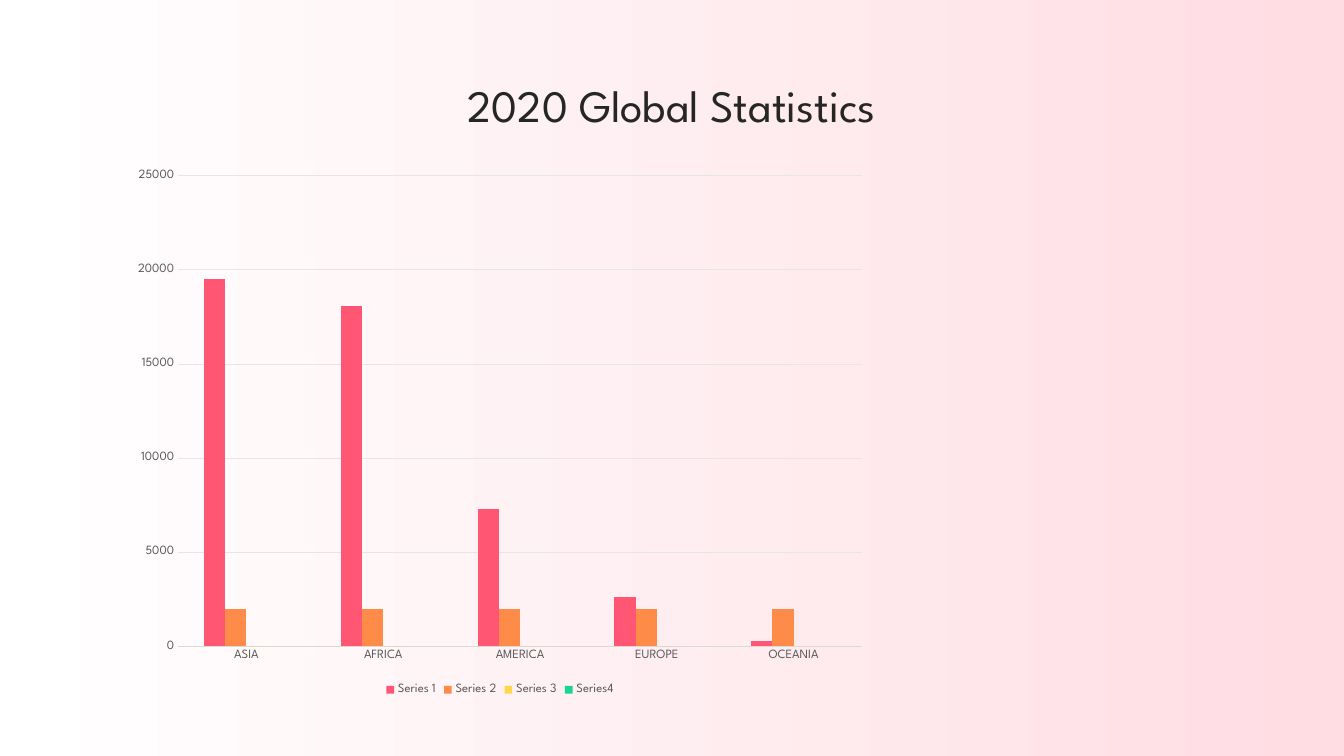
"""Build the 2020 Global Statistics column chart slide."""
from pptx import Presentation, util as u
from pptx.chart import data as cd
from pptx.dml import color
from pptx.enum import chart as ce, shapes, text

COLORS = {"white": "FFFFFF", "blush": "FFDDE3", "title": "262626", "label": "595959",
          "axis": "D9D9D9", "grid": "E6E6E6", "rose": "FF5674", "orange": "FF8B49",
          "yellow": "FFD749", "green": "17D594"}
REGIONS = ["ASIA", "AFRICA", "AMERICA", "EUROPE", "OCEANIA"]
SERIES = [("Series 1", "rose", [19500, 18100, 7300, 2600, 300]),
          ("Series 2", "orange", [2000] * 5),
          ("Series 3", "yellow", [0, 0, 0, 0, None]),
          ("Series4", "green", [None] * 5)]


def rgb(name):
    return color.RGBColor.from_string(COLORS[name])


def apply(obj, values):
    for name, value in values.items():
        setattr(obj, name, value)


class Deck:
    """Holds the style and current slide on a grid of 100 columns by 100 rows."""

    def __init__(self, font):
        self.font = font
        self.prs = Presentation()
        apply(self.prs, {"slide_width": u.Inches(13.33), "slide_height": u.Inches(7.5)})
        self.s = self.prs.slides.add_slide(self.prs.slide_layouts[5])

    def box(self, col, row, cols, rows):
        w, h = self.prs.slide_width, self.prs.slide_height
        return [int(v * side / 100) for v, side in ((col, w), (row, h), (cols, w), (rows, h))]

    def style(self, font, size, name):
        apply(font, {"name": self.font, "size": u.Pt(size), "bold": False})
        font.color.rgb = rgb(name)

    def line(self, line, name):
        line.color.rgb = rgb(name)
        line.width = u.Pt(0.75)

    def backdrop(self, start, end):
        fill = self.s.background.fill
        fill.solid()
        fill.fore_color.rgb = rgb(end)
        sp = self.s.shapes.add_shape(shapes.MSO_SHAPE.RECTANGLE, *self.box(0, 0, 100, 100))
        sp.shadow.inherit = False
        sp.line.fill.background()
        sp.fill.gradient()
        sp.fill.gradient_angle = 0
        for stop, name, place in zip(sp.fill.gradient_stops, (start, end), (0, 1)):
            stop.color.rgb = rgb(name)
            stop.position = place
        self.s.shapes.title._element.addprevious(sp._element)

    def title(self, words, *cells):
        sp = self.s.shapes.title
        apply(sp, dict(zip(("left", "top", "width", "height"), self.box(*cells))))
        tf = sp.text_frame
        apply(tf, {"margin_left": 0, "margin_right": 0, "margin_top": 0, "margin_bottom": 0,
                   "word_wrap": True, "auto_size": text.MSO_AUTO_SIZE.NONE,
                   "vertical_anchor": text.MSO_ANCHOR.BOTTOM})
        p = tf.paragraphs[0]
        p.alignment = text.PP_ALIGN.CENTER
        r = p.add_run()
        r.text = words
        self.style(r.font, 32, "title")

    def columns(self, categories, series, *cells):
        data = cd.CategoryChartData()
        data.categories = categories
        for name, _, values in series:
            data.add_series(name, values)
        chart = self.s.shapes.add_chart(
            ce.XL_CHART_TYPE.COLUMN_CLUSTERED, *self.box(*cells), data).chart
        apply(chart, {"has_title": False, "has_legend": True})
        self.style(chart.font, 10, "label")
        apply(chart.legend, {"position": ce.XL_LEGEND_POSITION.BOTTOM,
                             "include_in_layout": False})
        apply(chart.plots[0], {"gap_width": 246, "overlap": 0, "vary_by_categories": False})
        for bars, (_, name, _) in zip(chart.plots[0].series, series):
            bars.format.fill.solid()
            bars.format.fill.fore_color.rgb = rgb(name)
            bars.invert_if_negative = False
        for axis in (chart.category_axis, chart.value_axis):
            apply(axis, {"major_tick_mark": ce.XL_TICK_MARK.NONE,
                         "minor_tick_mark": ce.XL_TICK_MARK.NONE})
            self.style(axis.tick_labels.font, 9, "label")
        self.style(chart.legend.font, 9, "label")
        self.line(chart.category_axis.format.line, "axis")
        axis = chart.value_axis
        apply(axis, {"minimum_scale": 0, "maximum_scale": 25000, "major_unit": 5000,
                     "has_major_gridlines": True})
        axis.format.line.fill.background()
        self.line(axis.major_gridlines.format.line, "grid")


def main():
    deck = Deck("League Spartan")
    deck.backdrop("white", "blush")
    deck.title("2020 Global Statistics", 5.7, 5.73, 88.6, 11.6)
    deck.columns(REGIONS, SERIES, 9.15, 21.07, 56.11, 71.47)
    deck.prs.save("out.pptx")


if __name__ == "__main__":
    main()
